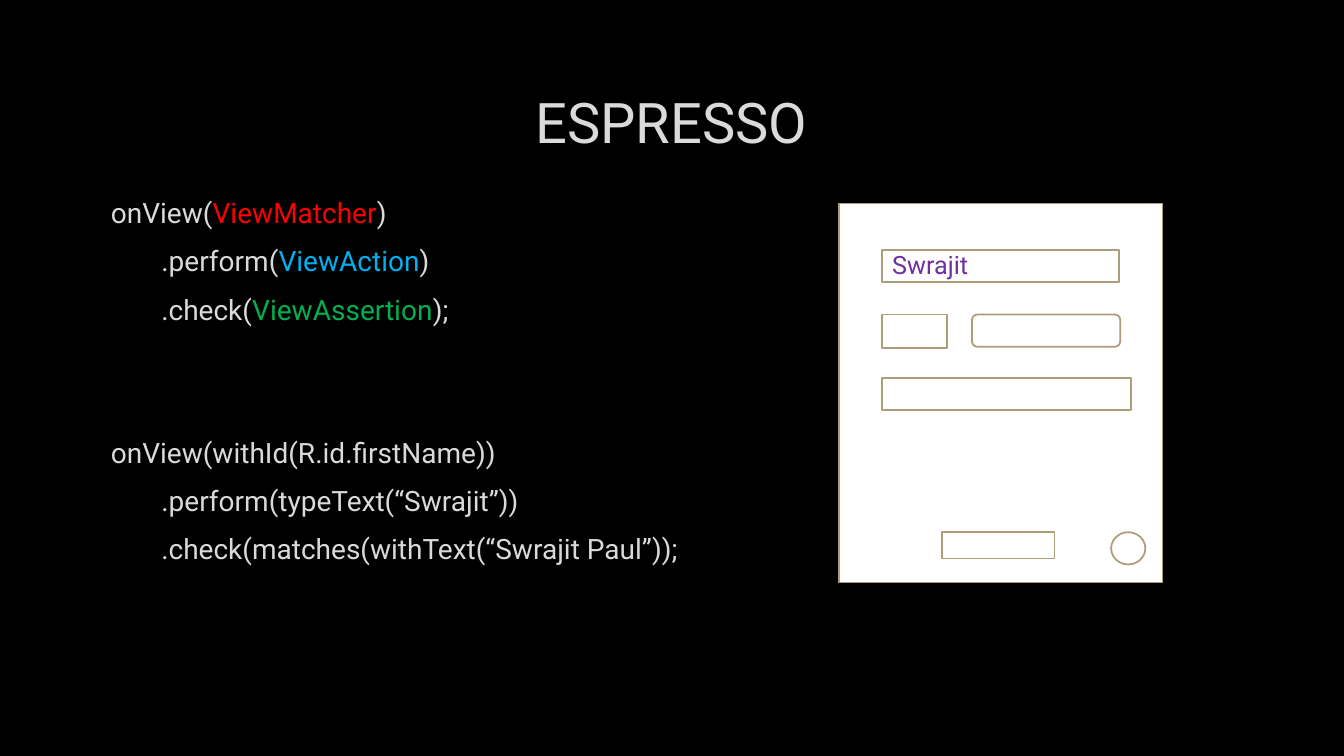
import pptx
import pptx.util
import pptx.dml.color
import pptx.enum.shapes
import pptx.enum.text
import pptx.oxml

RGB = pptx.dml.color.RGBColor
KIND = pptx.enum.shapes.MSO_SHAPE
ALIGN = pptx.enum.text.PP_ALIGN
ANCHOR = pptx.enum.text.MSO_ANCHOR
FIT = pptx.enum.text.MSO_AUTO_SIZE
Pt = pptx.util.Pt

BLACK = RGB(0, 0, 0)
WHITE = RGB(255, 255, 255)
GRAY = RGB(0xDA, 0xDA, 0xDA)
RED = RGB(255, 0, 0)
BLUE = RGB(0, 0xB0, 0xF0)
GREEN = RGB(0, 0xB0, 0x50)
PURPLE = RGB(0x70, 0x30, 0xA0)
TAN = RGB(0xAD, 0x9D, 0x7B)

WIDE = pptx.util.Inches(13.33)
HIGH = pptx.util.Inches(7.5)
STEP = 4.5
LEFT = 65.64
FIELD = 4.27
SPAN = 17.63

CODE = [
    (0, STEP, [("onView(", GRAY), ("ViewMatcher", RED), (")", GRAY)]),
    (1, STEP, [(".perform(", GRAY), ("ViewAction", BLUE), (")", GRAY)]),
    (1, STEP, [(".check(", GRAY), ("ViewAssertion", GREEN), (");", GRAY)]),
    (0, 72, [("onView(withId(R.id.firstName))", GRAY)]),
    (1, STEP, [(".perform(typeText(“Swrajit”))", GRAY)]),
    (1, STEP, [(".check(matches(withText(“Swrajit Paul”));", GRAY)]),
]

PHONE = [
    (KIND.RECTANGLE, (62.42, 26.93, 24.08, 50.13)),
    (KIND.RECTANGLE, (LEFT, 33.07, SPAN, FIELD)),
    (KIND.RECTANGLE, (LEFT, 41.6, 4.8, 4.4)),
    (KIND.RECTANGLE, (LEFT, 50, 18.53, FIELD)),
    (KIND.ROUNDED_RECTANGLE, (72.32, 41.6, 11.03, FIELD)),
    (KIND.OVAL, (82.67, 70.4, 2.55, FIELD)),
    (KIND.RECTANGLE, (70.07, 70.4, 8.4, 3.47)),
]


def area(x, y, w, h):
    return [int(part * side / 100)
            for part, side in zip((x, y, w, h), (WIDE, HIGH, WIDE, HIGH))]


def place(shape, box):
    shape.left, shape.top, shape.width, shape.height = area(*box)
    shape.text_frame.word_wrap = True
    shape.text_frame.auto_size = FIT.NONE


def write(para, text, size, color):
    run = para.add_run()
    run.text = text
    run.font.name = "Roboto"
    run.font.size = Pt(size)
    run.font.color.rgb = color


def head(slide):
    title = slide.shapes.title
    place(title, (7.5, 8.93, 84.92, 14.13))
    title.text_frame.vertical_anchor = ANCHOR.MIDDLE
    para = title.text_frame.paragraphs[0]
    para.alignment = ALIGN.CENTER
    write(para, "ESPRESSO", 40, GRAY)


def code(slide):
    body = slide.placeholders[1]
    place(body, (7.5, 25.2, 84.92, 59.2))
    frame = body.text_frame
    for row, (level, gap, parts) in enumerate(CODE):
        para = frame.add_paragraph() if row else frame.paragraphs[0]
        para.space_before = Pt(gap)
        para.space_after = Pt(6)
        props = para._p.get_or_add_pPr()
        props.set("marL", str(pptx.util.Inches(level / 2)))
        props.set("indent", "0")
        pptx.oxml.xmlchemy.OxmlElement
        props.append(pptx.oxml.xmlchemy.OxmlElement("a:buNone"))
        for text, color in parts:
            write(para, text, 20, color)


def panel(slide, kind, box):
    shape = slide.shapes.add_shape(kind, *area(*box))
    shape.shadow.inherit = False
    shape.fill.solid()
    shape.fill.fore_color.rgb = WHITE
    shape.line.color.rgb = TAN
    shape.line.width = Pt(1.25)


def label(slide, text, box):
    frame = slide.shapes.add_textbox(*area(*box)).text_frame
    frame.word_wrap = True
    write(frame.paragraphs[0], text, 18, PURPLE)


def main():
    deck = pptx.Presentation()
    deck.slide_width, deck.slide_height = WIDE, HIGH
    slide = deck.slides.add_slide(deck.slide_layouts[1])
    slide.background.fill.solid()
    slide.background.fill.fore_color.rgb = BLACK
    head(slide)
    code(slide)
    for kind, box in PHONE:
        panel(slide, kind, box)
    label(slide, "Swrajit", (LEFT, 32.27, SPAN, 5.33))
    deck.save("out.pptx")


if __name__ == "__main__":
    main()
